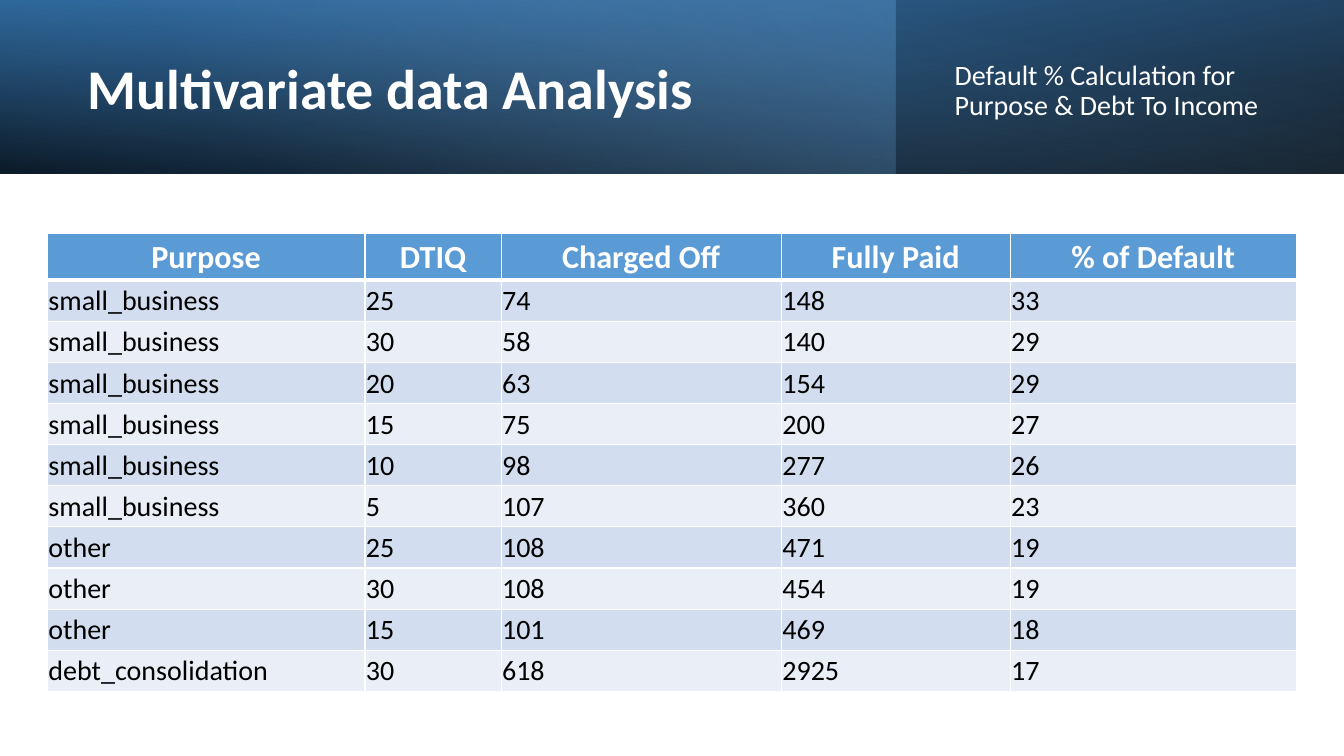
import lxml.etree
import pptx
import pptx.dml.color
import pptx.enum.shapes
import pptx.enum.text
import pptx.oxml.ns
import pptx.util

Inches = pptx.util.Inches
Pt = pptx.util.Pt
RGBColor = pptx.dml.color.RGBColor
qn = pptx.oxml.ns.qn
MIDDLE = pptx.enum.text.MSO_ANCHOR.MIDDLE
LEFT = pptx.enum.text.PP_ALIGN.LEFT
CENTER = pptx.enum.text.PP_ALIGN.CENTER

WHITE = RGBColor(0xFF, 0xFF, 0xFF)
BLACK = RGBColor(0x00, 0x00, 0x00)
DEEP_BLUE = RGBColor(0x2E, 0x75, 0xB6)
BLUE = RGBColor(0x5B, 0x9B, 0xD5)
LIGHT_BLUE = RGBColor(0x9D, 0xC3, 0xE6)
DARK_BAND = RGBColor(0xD2, 0xDE, 0xEF)
LIGHT_BAND = RGBColor(0xEA, 0xEF, 0xF7)

COLUMN_WIDTHS = [3.15, 1.35, 2.78, 2.27, 2.84]
HEADER_HEIGHT = 0.46
HEADINGS = ["Purpose", "DTIQ", "Charged Off", "Fully Paid", "% of Default"]
LOANS = [
    ["small_business", 25, 74, 148, 33],
    ["small_business", 30, 58, 140, 29],
    ["small_business", 20, 63, 154, 29],
    ["small_business", 15, 75, 200, 27],
    ["small_business", 10, 98, 277, 26],
    ["small_business", 5, 107, 360, 23],
    ["other", 25, 108, 471, 19],
    ["other", 30, 108, 454, 19],
    ["other", 15, 101, 469, 18],
    ["debt_consolidation", 30, 618, 2925, 17],
]


def set_values(target, values):
    for name, value in values.items():
        setattr(target, name, value)


def format_paragraph(paragraph, size, color, bold=False, **layout):
    set_values(paragraph, layout)
    set_values(paragraph.font, {"name": "Calibri", "size": Pt(size), "bold": bold})
    paragraph.font.color.rgb = color


def add_gradient_band(slide, left, top, width, height, stops, angle, flip=False, rotation=0):
    shape = slide.shapes.add_shape(
        pptx.enum.shapes.MSO_SHAPE.RECTANGLE,
        Inches(left), Inches(top), Inches(width), Inches(height),
    )
    shape.shadow.inherit = False
    shape.line.fill.background()
    shape.rotation = rotation
    if flip:
        shape.element.spPr.xfrm.set("flipH", "1")
    shape.fill.gradient()
    shape.fill.gradient_angle = 360 - angle
    for gradient_stop, (position, color, _) in zip(shape.fill.gradient_stops, stops):
        gradient_stop.position = position
        gradient_stop.color.rgb = color
    for color_element, (_, _, opacity) in zip(shape.element.spPr.iter(qn("a:srgbClr")), stops):
        for child in list(color_element):
            color_element.remove(child)
        lxml.etree.SubElement(color_element, qn("a:alpha"), val=str(opacity * 1000))
    slide.shapes.title.element.addprevious(shape.element)


def place_text(shape, left, top, width, height, text, size, **layout):
    set_values(shape, {
        "left": Inches(left), "top": Inches(top),
        "width": Inches(width), "height": Inches(height),
    })
    set_values(shape.text_frame, {
        "text": text, "word_wrap": True, "vertical_anchor": MIDDLE,
        "auto_size": pptx.enum.text.MSO_AUTO_SIZE.NONE,
    })
    format_paragraph(shape.text_frame.paragraphs[0], size, WHITE,
                     alignment=LEFT, line_spacing=0.9, **layout)


def add_header(slide, left, top, width, height):
    add_gradient_band(slide, left, top, width, height,
                      [(0, BLACK, 96), (1, DEEP_BLUE, 100)], 100, flip=True, rotation=180)
    add_gradient_band(slide, left, top, width * 2 / 3, height,
                      [(0, BLUE, 41), (0.74, LIGHT_BLUE, 0)], 140)
    add_gradient_band(slide, left, top, width, height,
                      [(0, BLACK, 63), (0.78, BLUE, 15)], 260, flip=True)
    place_text(slide.shapes.title, left + 0.77, top + 0.27, 7.72, 1.27,
               "Multivariate data Analysis", 40, bold=True)
    subtitle = slide.shapes.add_textbox(0, 0, 0, 0)
    place_text(subtitle, left + 9.37, top + 0.43, 3.54, 0.96,
               "Default % Calculation for Purpose & Debt To Income", 20, space_before=Pt(10))


def add_borders(cell, widths):
    properties = cell._tc.get_or_add_tcPr()
    for side, width in widths.items():
        line = lxml.etree.SubElement(properties, qn("a:ln" + side), w=str(Pt(width)))
        fill = lxml.etree.SubElement(line, qn("a:solidFill"))
        lxml.etree.SubElement(fill, qn("a:srgbClr"), val=str(WHITE))


def add_loan_table(slide, left, top, width, height):
    rows = [HEADINGS] + LOANS
    table = slide.shapes.add_table(
        len(rows), len(HEADINGS),
        Inches(left), Inches(top), Inches(width), Inches(height),
    ).table
    for column, column_width in zip(table.columns, COLUMN_WIDTHS):
        column.width = Inches(column_width)
    body_height = (height - HEADER_HEIGHT) / len(LOANS)
    for row_index, values in enumerate(rows):
        is_header = row_index == 0
        table.rows[row_index].height = Inches(HEADER_HEIGHT if is_header else body_height)
        band = DARK_BAND if row_index % 2 else LIGHT_BAND
        for column_index, value in enumerate(values):
            cell = table.cell(row_index, column_index)
            set_values(cell, {
                "text": str(value), "vertical_anchor": MIDDLE,
                "margin_left": Inches(0.01), "margin_top": Inches(0.01),
                "margin_right": Inches(0.01), "margin_bottom": 0,
            })
            add_borders(cell, {"L": 1, "R": 1, "T": 3 if row_index == 1 else 1,
                               "B": 3 if is_header else 1})
            cell.fill.solid()
            cell.fill.fore_color.rgb = BLUE if is_header else band
            format_paragraph(
                cell.text_frame.paragraphs[0], 23 if is_header else 20,
                WHITE if is_header else BLACK, bold=is_header,
                alignment=CENTER if is_header else LEFT,
            )


def main():
    presentation = pptx.Presentation()
    set_values(presentation, {"slide_width": Inches(13.33), "slide_height": Inches(7.5)})
    slide = presentation.slides.add_slide(presentation.slide_layouts.get_by_name("Title Only"))
    add_header(slide, 0, 0, 13.33, 1.72)
    add_loan_table(slide, 0.47, 2.32, sum(COLUMN_WIDTHS), 4.54)
    presentation.save("out.pptx")


if __name__ == "__main__":
    main()
